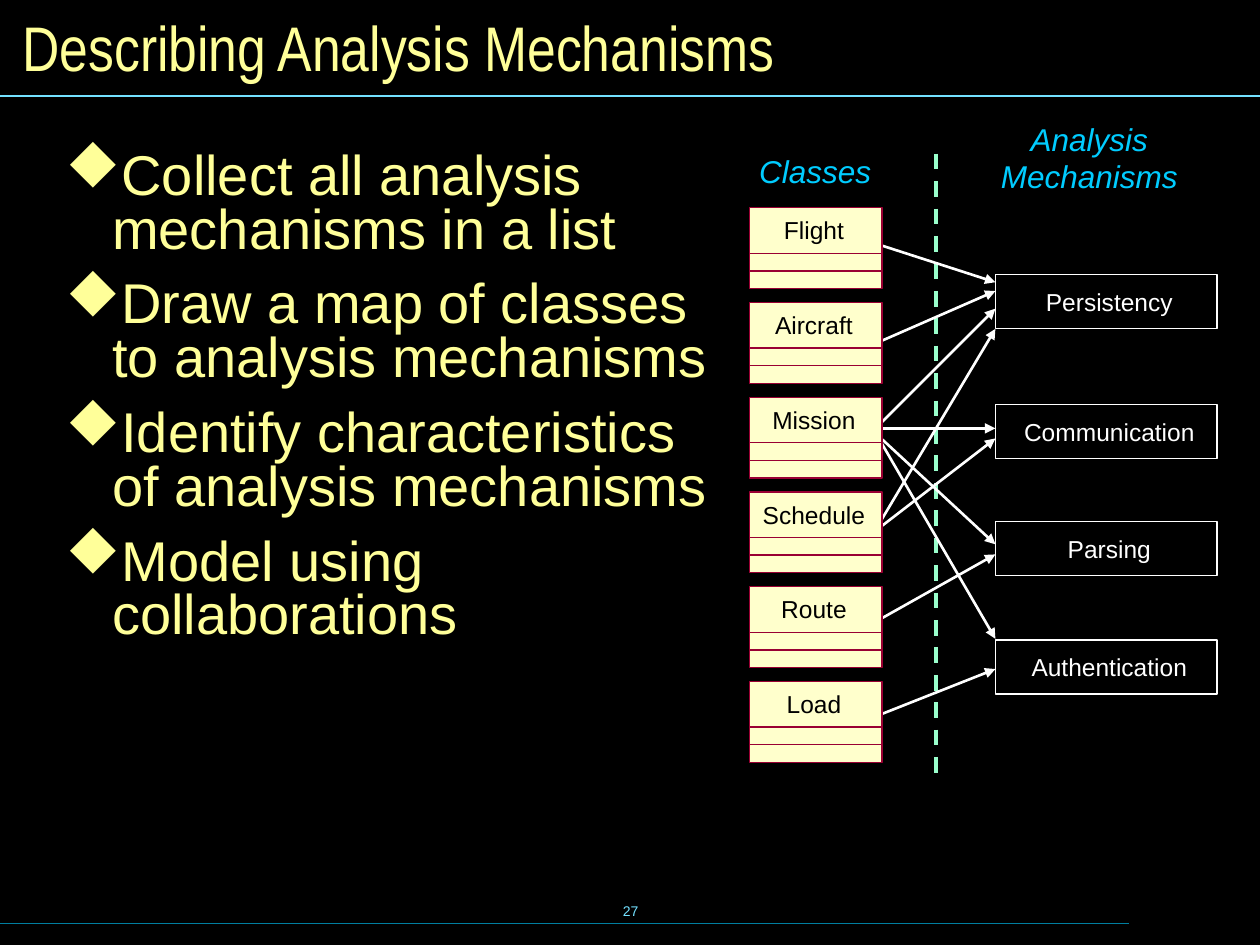
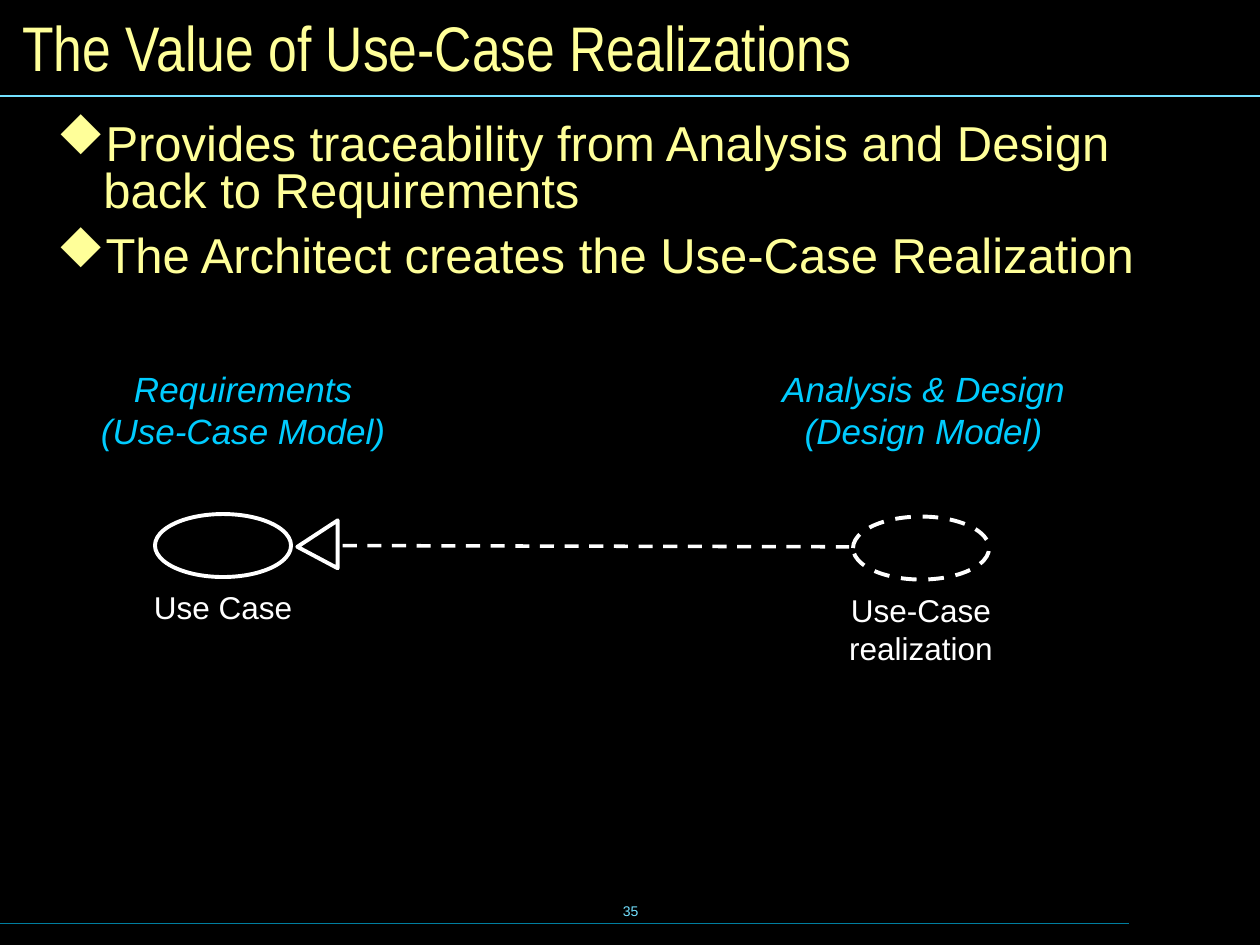
from lxml.etree import SubElement
from pptx import Presentation
from pptx.dml.color import RGBColor
from pptx.enum.dml import MSO_LINE_DASH_STYLE as Dash
from pptx.enum.shapes import MSO_CONNECTOR, MSO_SHAPE as Shape
from pptx.enum.text import MSO_ANCHOR as Anchor, PP_ALIGN as Align
from pptx.oxml.ns import qn
from pptx.util import Inches, Pt

COLORS = {
    "background": "000000", "text": "FFFF99", "heading": "00CCFF",
    "white": "FFFFFF", "black": "000000", "rule": "73E1FF",
    "footer_rule": "007E9F", "divider": "99FFCC",
    "class_fill": "FFFFCC", "class_line": "990033",
}
WIDE_INSETS = (0.12, 0.06, 0.12, 0.06)

MECHANISM_STEPS = [
    "Collect all analysis mechanisms in a list",
    "Draw a map of classes to analysis mechanisms",
    "Identify characteristics of analysis mechanisms",
    "Model using collaborations",
]
CLASSES = ["Flight", "Aircraft", "Mission", "Schedule", "Route", "Load"]
MECHANISMS = {"Persistency": 2.18, "Communication": 3.21,
              "Parsing": 4.14, "Authentication": 5.08}
# Heights at which each class's arrows leave it and reach a mechanism
ARROWS = {
    "Flight": [(1.93, 2.24)],
    "Aircraft": [(2.73, 2.31)],
    "Mission": [(3.42, 5.07), (3.41, 2.45), (3.4, 3.4), (3.43, 4.32)],
    "Schedule": [(4.22, 3.48), (4.22, 2.61)],
    "Route": [(4.94, 4.4)],
    "Load": [(5.69, 5.31)],
}
CLASS_LEFT, CLASS_TOP, CLASS_W, CLASS_H = 5.95, 1.65, 1.05, 0.64
CLASS_PITCH = (5.41 - CLASS_TOP) / (len(CLASSES) - 1)
ARROW_START, MECHANISM_LEFT = 6.94, 7.9

REALIZATION_VALUES = [
    "Provides traceability from Analysis and Design back to Requirements",
    "The Architect creates the Use-Case Realization",
]
MODEL_HEADINGS = [  # left edge, lines
    (0.63, ["Requirements", "(Use-Case Model)"]),
    (6.03, ["Analysis & Design", "(Design Model)"]),
]
OVALS = [  # left, top, caption, dash
    (1.23, 4.08, "Use Case", None),
    (6.77, 4.1, "Use-Case\vrealization", Dash.DASH),
]
REALIZES_HEAD = [(2.68, 4.13), (2.36, 4.34), (2.68, 4.51)]


def rgb(name):
    return RGBColor.from_string(COLORS[name])


def write(shape, lines, size=18, color="white", font="Arial", italic=False,
          align=Align.LEFT, anchor=Anchor.TOP, insets=(0.1, 0.05, 0.1, 0.05),
          bullet=False, before=0):
    tf = shape.text_frame
    tf.word_wrap = True
    tf.vertical_anchor = anchor
    (tf.margin_left, tf.margin_top,
     tf.margin_right, tf.margin_bottom) = map(Inches, insets)
    for i, line in enumerate(lines):
        p = tf.add_paragraph() if i else tf.paragraphs[0]
        p.text = line
        p.alignment = align
        if bullet:
            add_bullet(p, color)
            p.line_spacing = 0.8
        if i and before:
            p.space_before = Pt(before)
        for r in p.runs:
            r.font.size = Pt(size)
            r.font.name = font
            r.font.italic = italic
            r.font.color.rgb = rgb(color)


def add_bullet(p, color):
    """Give the paragraph a diamond bullet, which is the letter u in Wingdings."""
    pPr = p._p.get_or_add_pPr()
    pPr.set("marL", str(Inches(0.37)))
    pPr.set("indent", str(-Inches(0.37)))
    SubElement(SubElement(pPr, qn("a:buClr")), qn("a:srgbClr"), val=COLORS[color])
    SubElement(pPr, qn("a:buFont"), typeface="Wingdings", pitchFamily="2",
               charset="2")
    SubElement(pPr, qn("a:buChar"), char="u")


def add_text(s, box, lines, **fmt):
    write(s.shapes.add_textbox(*map(Inches, box)), lines, **fmt)


def set_line(shape, color, width, dash=None):
    shape.line.color.rgb = rgb(color)
    shape.line.width = Pt(width)
    if dash:
        shape.line.dash_style = dash


def add_line(s, start, end, color, width, dash=None, arrow=False):
    line = s.shapes.add_connector(MSO_CONNECTOR.STRAIGHT, *map(Inches, start + end))
    set_line(line, color, width, dash)
    if arrow:
        SubElement(line.line._get_or_add_ln(), qn("a:tailEnd"), type="triangle")
    SubElement(line._element.spPr, qn("a:effectLst"))


def style_shape(sp, line, width, fill=None, dash=None):
    sp.shadow.inherit = False
    if fill:
        sp.fill.solid()
        sp.fill.fore_color.rgb = rgb(fill)
    else:
        sp.fill.background()
    set_line(sp, line, width, dash)


def add_shape(s, kind, box, line, width, **style):
    sp = s.shapes.add_shape(kind, *map(Inches, box))
    style_shape(sp, line, width, **style)
    return sp


def new_slide(prs, title, number):
    """Add a slide with the shared background, title, rules and page number."""
    s = prs.slides.add_slide(prs.slide_layouts[6])
    s.background.fill.solid()
    s.background.fill.fore_color.rgb = rgb("background")
    add_text(s, (3.42, 6.98, 3.17, 0.5), [number], size=8, color="rule",
             align=Align.CENTER, anchor=Anchor.MIDDLE)
    add_line(s, (0, 7.33), (8.96, 7.33), "footer_rule", 1)
    add_line(s, (0, 0.76), (10, 0.76), "rule", 1)
    add_text(s, (0.08, 0.08, 9.84, 0.58), [title], size=36, color="text",
             font="Arial Narrow", anchor=Anchor.MIDDLE)
    return s


def add_bullets(s, box, lines, size):
    add_text(s, box, lines, size=size, color="text", insets=WIDE_INSETS,
             bullet=True, before=size * 0.375)


def add_heading(s, box, lines, size):
    add_text(s, box, lines, size=size, color="heading", italic=True,
             align=Align.CENTER, insets=WIDE_INSETS)


def add_class(s, name, top):
    sp = add_shape(s, Shape.RECTANGLE, (CLASS_LEFT, top, CLASS_W, CLASS_H),
                   "class_line", 0.75, fill="class_fill")
    write(sp, [name], size=14, color="black", align=Align.CENTER,
          insets=(0, 0.06, 0.03, 0))
    for offset in (0.36, 0.5):
        y = top + offset
        add_line(s, (CLASS_LEFT, y), (CLASS_LEFT + CLASS_W, y), "class_line", 0.75)


def mechanisms_slide(prs):
    s = new_slide(prs, "Describing Analysis Mechanisms", "27")
    add_bullets(s, (0.4, 1.15, 5.34, 5.52), MECHANISM_STEPS, 32)
    add_heading(s, (5.87, 1.15, 1.2, 0.42), ["Classes"], 18)
    add_heading(s, (7.79, 0.89, 1.71, 0.72), ["Analysis Mechanisms"], 18)
    add_line(s, (7.43, 1.22), (7.43, 6.22), "divider", 2.25, Dash.DASH)
    for name in CLASSES:
        for y1, y2 in ARROWS[name]:
            add_line(s, (ARROW_START, y1), (MECHANISM_LEFT, y2), "white", 1.5,
                     arrow=True)
    for name, top in MECHANISMS.items():
        sp = add_shape(s, Shape.RECTANGLE, (MECHANISM_LEFT, top, 1.76, 0.43),
                       "white", 0.75)
        write(sp, [name], size=14, align=Align.CENTER, anchor=Anchor.MIDDLE,
              insets=(0.05, 0, 0, 0))
    for i, name in enumerate(CLASSES):
        add_class(s, name, CLASS_TOP + i * CLASS_PITCH)


def realizations_slide(prs):
    s = new_slide(prs, "The Value of Use-Case Realizations", "35")
    add_bullets(s, (0.33, 0.92, 9.28, 1.58), REALIZATION_VALUES, 28)
    for left, lines in MODEL_HEADINGS:
        add_heading(s, (left, 2.86, 2.6, 0.79), lines, 20)
    for left, top, caption, dash in OVALS:
        add_shape(s, Shape.OVAL, (left, top, 1.08, 0.5), "white", 2.25, dash=dash)
        add_text(s, (left - 0.16, top + 0.54, 1.4, 0.7), [caption],
                 align=Align.CENTER)
    first, *rest = [(Inches(x), Inches(y)) for x, y in REALIZES_HEAD]
    builder = s.shapes.build_freeform(*first)
    builder.add_line_segments(rest)
    style_shape(builder.convert_to_shape(), "white", 2.25)
    add_line(s, (2.72, 4.33), (6.74, 4.34), "white", 2, Dash.DASH)


def main():
    prs = Presentation()
    prs.slide_width, prs.slide_height = Inches(10), Inches(7.5)
    mechanisms_slide(prs)
    realizations_slide(prs)
    prs.save("out.pptx")


if __name__ == "__main__":
    main()
